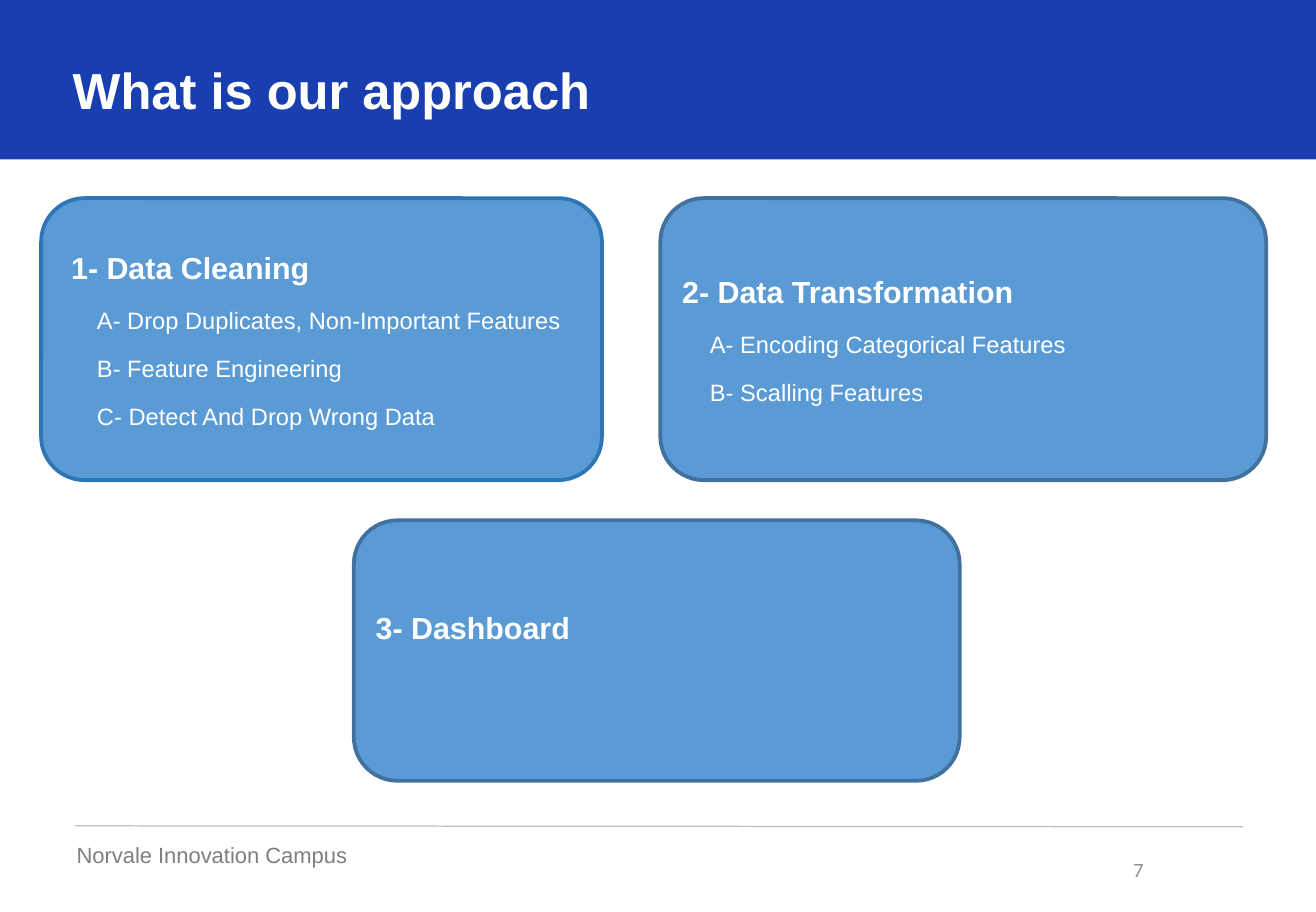
"""Builds the "What is our approach" slide with three step cards."""
from pptx import Presentation
from pptx.dml.color import RGBColor
from pptx.enum.shapes import MSO_CONNECTOR, MSO_SHAPE
from pptx.enum.text import MSO_ANCHOR, PP_ALIGN
from pptx.oxml.ns import qn
from pptx.util import Cm, Pt
from lxml import etree

COLORS = {
    "band": "193EB0",
    "card": "5B9BD5",
    "edge_first": "2E75B6",
    "edge": "41719C",
    "white": "FFFFFF",
    "rule": "BFBFBF",
    "footer": "7F7F7F",
    "number": "8C8C8C",
}
RADIUS = 0.91


def color(name):
    return RGBColor.from_string(COLORS[name])


def add_text(p, text, size, name, bold=False, font="Arial", spacing=None):
    r = p.add_run()
    r.text = text
    r.font.name = font
    r.font.size = Pt(size)
    r.font.bold = bold
    r.font.color.rgb = color(name)
    if spacing:
        p.line_spacing = Pt(spacing)


prs = Presentation()
prs.slide_width = Cm(27.48)
prs.slide_height = Cm(19.05)
s = prs.slides.add_slide(prs.slide_layouts[6])

band = s.shapes.add_shape(MSO_SHAPE.RECTANGLE, 0, 0, prs.slide_width, Cm(3.33))
band.shadow.inherit = False
band.fill.solid()
band.fill.fore_color.rgb = color("band")
band.line.fill.background()

rule = s.shapes.add_connector(MSO_CONNECTOR.STRAIGHT, Cm(1.57), Cm(17.25), Cm(25.96), Cm(17.27))
rule.line.color.rgb = color("rule")
rule.line.width = Pt(0.75)
etree.SubElement(rule._element.spPr, qn("a:effectLst"))

labels = [
    ("What is our approach", 1.52, 1.22, 14, 1.32, 30, "white", True, 36),
    ("Norvale Innovation Campus", 1.6, 17.58, 10, 0.64, 13, "footer", False, 15.6),
]
for text, left, top, width, height, size, name, bold, spacing in labels:
    sp = s.shapes.add_textbox(Cm(left), Cm(top), Cm(width), Cm(height))
    tf = sp.text_frame
    tf.word_wrap = True
    tf.margin_left = tf.margin_top = tf.margin_right = tf.margin_bottom = 0
    add_text(tf.paragraphs[0], text, size, name, bold, spacing=spacing)

cards = [
    (0.86, 4.14, 11.71, 5.89, "edge_first", 0.36, 0.36, 0.54, "1- Data Cleaning", [
        "A- Drop Duplicates, Non-Important Features",
        "B- Feature Engineering",
        "C- Detect And Drop Wrong Data",
    ]),
    (13.79, 4.14, 12.65, 5.89, "edge", 0.19, 0.36, 0.58, "2- Data Transformation", [
        "A- Encoding Categorical Features",
        "B- Scalling Features",
    ]),
    (7.39, 10.87, 12.65, 5.44, "edge", 0.19, 1.37, 0, "3- Dashboard", []),
]
for left, top, width, height, edge, inset, bottom, indent, heading, steps in cards:
    sp = s.shapes.add_shape(MSO_SHAPE.ROUNDED_RECTANGLE, Cm(left), Cm(top), Cm(width), Cm(height))
    sp.adjustments[0] = RADIUS / height
    sp.shadow.inherit = False
    sp.fill.solid()
    sp.fill.fore_color.rgb = color("card")
    sp.line.color.rgb = color(edge)
    sp.line.width = Pt(2.25)
    tf = sp.text_frame
    tf.word_wrap = True
    tf.vertical_anchor = MSO_ANCHOR.MIDDLE
    tf.margin_left = Cm(inset)
    tf.margin_top = tf.margin_right = Cm(0.15)
    tf.margin_bottom = Cm(bottom)
    p = tf.paragraphs[0]
    p.alignment = PP_ALIGN.LEFT
    add_text(p, heading, 18, "white", True, spacing=28.5)
    for step in steps:
        p = tf.add_paragraph()
        p.alignment = PP_ALIGN.LEFT
        pPr = p._p.get_or_add_pPr()
        pPr.set("marL", str(Cm(indent)))
        pPr.set("indent", "0")
        add_text(p, step, 14, "white", spacing=28.5)

sp = s.shapes.add_textbox(Cm(18.21), Cm(17.65), Cm(5.92), Cm(1.02))
tf = sp.text_frame
tf.word_wrap = True
tf.vertical_anchor = MSO_ANCHOR.MIDDLE
p = tf.paragraphs[0]
p.alignment = PP_ALIGN.RIGHT
add_text(p, "7", 12, "number", font="Calibri")

prs.save("out.pptx")
